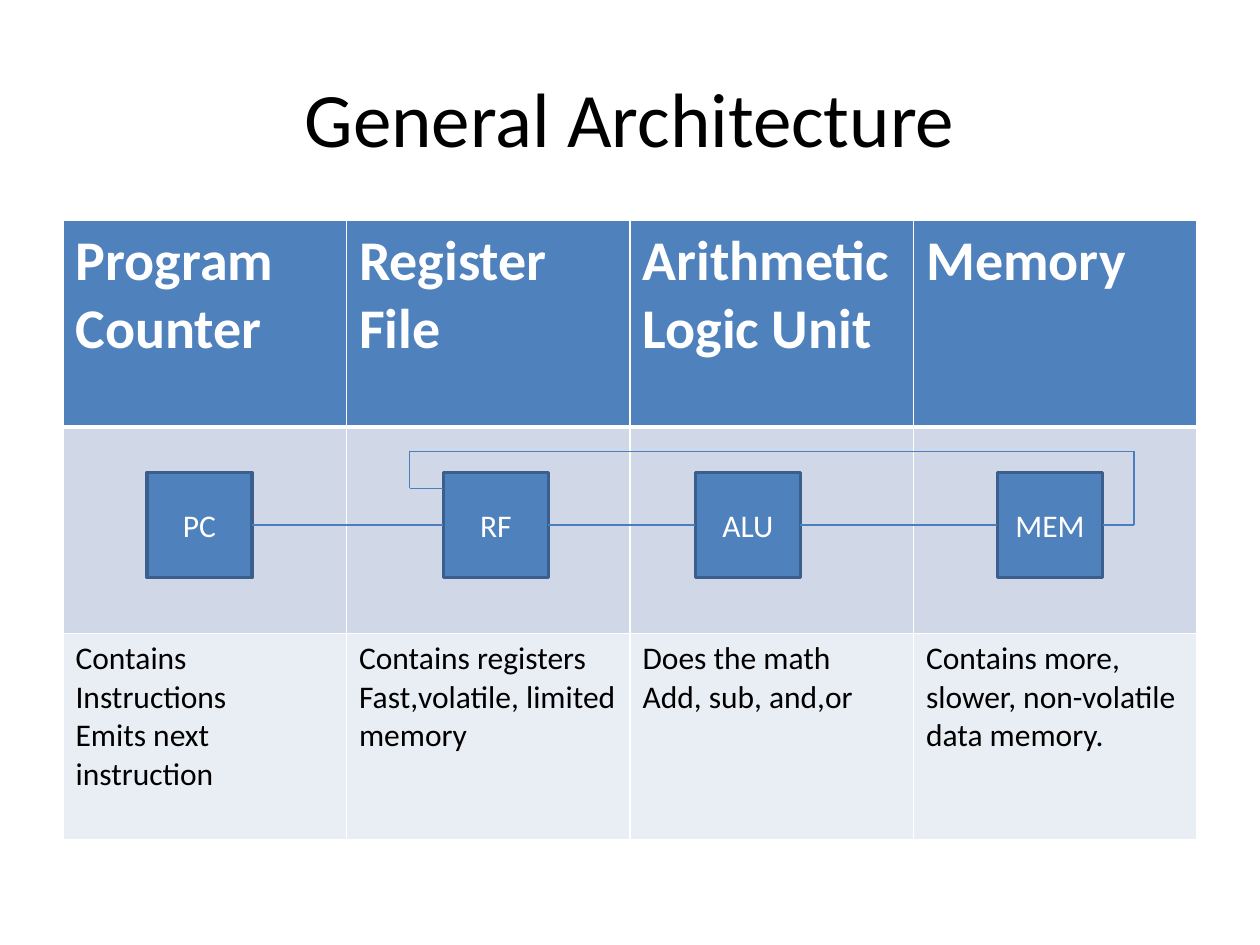
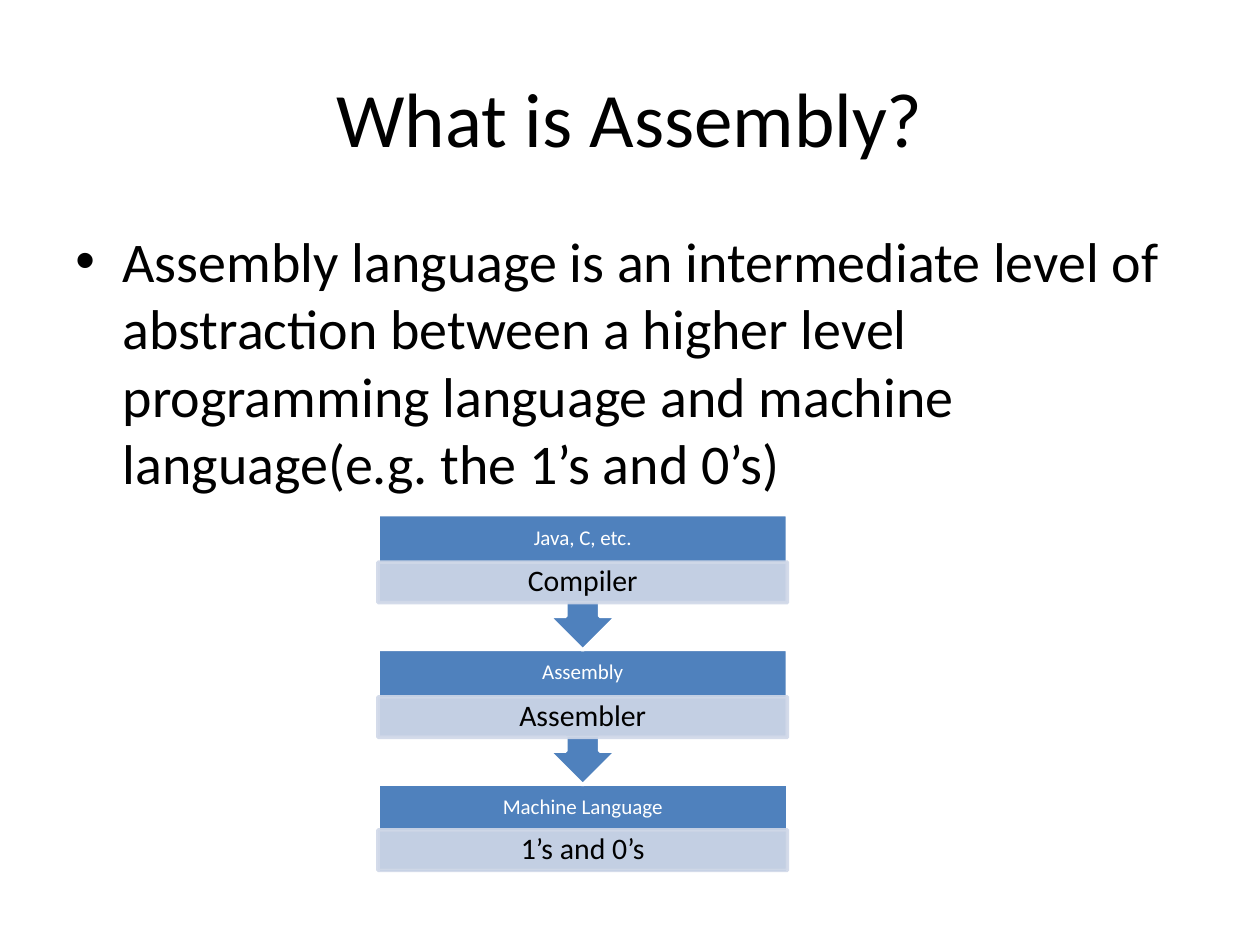
from dataclasses import dataclass
from itertools import pairwise

from lxml.etree import SubElement
from pptx import Presentation
from pptx.dml.color import RGBColor
from pptx.enum.shapes import MSO_CONNECTOR as Connector, MSO_SHAPE as Preset
from pptx.enum.text import MSO_ANCHOR as Anchor, PP_ALIGN as Align
from pptx.oxml.ns import qn
from pptx.util import Pt

TITLE_ONLY = 5


@dataclass(frozen=True)
class Theme:
    """Colours, font and type sizes shared by all slides."""
    font: str = "Calibri"
    text: str = "000000"
    light: str = "FFFFFF"
    accent: str = "4F81BD"
    accent_edge: str = "3A5F8C"
    wire: str = "4B7EBC"
    band: str = "D0D8E8"
    pale_band: str = "E9EDF4"
    title_size: float = 44
    large_size: float = 32
    body_size: float = 18
    detail_size: float = 17
    label_size: float = 12


def write(frame, text, *, size, color, bold=False, align=Align.LEFT,
          anchor=Anchor.TOP, insets=(7.2, 3.6), line_spacing=None,
          space_before=0, bullet_indent=0):
    """Write text, one paragraph a line, with the given format."""
    frame.word_wrap = True
    frame.vertical_anchor = anchor
    frame.margin_left = frame.margin_right = Pt(insets[0])
    frame.margin_top = frame.margin_bottom = Pt(insets[1])
    for index, line in enumerate(text.split("\n")):
        paragraph = frame.add_paragraph() if index else frame.paragraphs[0]
        paragraph.alignment = align
        paragraph.line_spacing = line_spacing
        paragraph.space_before = Pt(space_before)
        if bullet_indent:
            add_bullet(paragraph, bullet_indent)
        run = paragraph.add_run()
        run.text = line
        run.font.name = Theme.font
        run.font.size = Pt(size)
        run.font.bold = bold
        run.font.color.rgb = RGBColor.from_string(color)


def add_bullet(paragraph, indent):
    """Give a paragraph a round bullet and a hanging indent."""
    properties = paragraph._p.get_or_add_pPr()
    properties.set("marL", str(Pt(indent)))
    properties.set("indent", str(-Pt(indent)))
    SubElement(properties, qn("a:buFont"), typeface="Arial")
    SubElement(properties, qn("a:buChar"), char="\u2022")


def add_border(cell, side, color, width):
    """Draw one side (L, R, T or B) of a cell's border."""
    properties = cell._tc.get_or_add_tcPr()
    line = SubElement(properties, qn(f"a:ln{side}"), w=str(Pt(width)))
    fill = SubElement(line, qn("a:solidFill"))
    SubElement(fill, qn("a:srgbClr"), val=color)


class Deck:
    """Holds the theme, the presentation and the current slide."""

    def __init__(self, theme):
        """Start an empty 10 by 7.5 inch presentation."""
        self.theme = theme
        self.presentation = Presentation()
        self.presentation.slide_width = Pt(720)
        self.presentation.slide_height = Pt(540)
        self.slide = None

    def new_slide(self, title):
        """Add a slide with a centred title."""
        layout = self.presentation.slide_layouts[TITLE_ONLY]
        self.slide = self.presentation.slides.add_slide(layout)
        shape = self.slide.shapes.title
        shape.left, shape.top, shape.width, shape.height = map(Pt, (36, 21.6, 648, 90))
        write(shape.text_frame, title, size=self.theme.title_size,
              color=self.theme.text, align=Align.CENTER, anchor=Anchor.MIDDLE)

    def text(self, box, text, **style):
        """Add a text box."""
        shape = self.slide.shapes.add_textbox(*map(Pt, box))
        write(shape.text_frame, text, **style)

    def shape(self, preset, box, fill, line, opacity=100, rotation=0):
        """Add a filled and outlined preset shape."""
        shape = self.slide.shapes.add_shape(preset, *map(Pt, box))
        shape.shadow.inherit = False
        shape.rotation = rotation
        shape.fill.solid()
        shape.fill.fore_color.rgb = RGBColor.from_string(fill)
        shape.line.color.rgb = RGBColor.from_string(line)
        shape.line.width = Pt(2)
        if opacity < 100:
            for color in shape._element.spPr.iter(qn("a:srgbClr")):
                SubElement(color, qn("a:alpha"), val=str(opacity * 1000))
        return shape

    def wire(self, points):
        """Join successive points with straight connectors."""
        for start, end in pairwise(points):
            connector = self.slide.shapes.add_connector(
                Connector.STRAIGHT, *map(Pt, start + end))
            connector.line.color.rgb = RGBColor.from_string(self.theme.wire)
            connector.line.width = Pt(0.75)
            SubElement(connector._element.spPr, qn("a:effectLst"))

    def table(self, box, rows, fills, styles):
        """Add a table with equal cells, and a fill and text style per row."""
        frame = self.slide.shapes.add_table(len(rows), len(rows[0]), *map(Pt, box))
        table = frame.table
        table.horz_banding = False
        for row, texts in enumerate(rows):
            for column, text in enumerate(texts):
                cell = table.cell(row, column)
                for side in "LRTB":
                    heavy = (row, side) in ((0, "B"), (1, "T"))
                    add_border(cell, side, self.theme.light, 3 if heavy else 1)
                cell.fill.solid()
                cell.fill.fore_color.rgb = RGBColor.from_string(fills[row])
                if text:
                    write(cell.text_frame, text, **styles[row])

    def stage(self, top, label, detail, detail_offset, is_last):
        """Add a labelled block with a detail strip and, unless last, an arrow."""
        theme, left, width = self.theme, 216, 234
        if is_last:
            self.shape(Preset.RECTANGLE, (left, top, width, 50.5),
                       theme.accent, theme.light)
        else:
            self.shape(Preset.UP_ARROW_CALLOUT, (left, top, width, 77.5),
                       theme.accent, theme.light, rotation=180)
        centred = dict(align=Align.CENTER, anchor=Anchor.MIDDLE, line_spacing=0.9)
        self.text((left, top, width, 27.2), label, size=theme.label_size,
                  color=theme.light, insets=(6.7, 6.7), **centred)
        strip = self.shape(Preset.RECTANGLE,
                           (left, top + detail_offset, width, 23.2),
                           theme.band, theme.band, opacity=90)
        write(strip.text_frame, detail, size=theme.detail_size,
              color=theme.text, insets=(9.5, 1.7), **centred)


def build_architecture(deck):
    """Table of processor parts with the data path drawn over it."""
    theme = deck.theme
    deck.new_slide("General Architecture")
    deck.table(
        (36, 126, 648, 354),
        [("Program Counter", "Register File", "Arithmetic Logic Unit", "Memory"),
         ("",) * 4,
         ("Contains Instructions\nEmits next instruction",
          "Contains registers\nFast,volatile, limited memory",
          "Does the math\nAdd, sub, and,or",
          "Contains more, slower, non-volatile data memory.")],
        (theme.accent, theme.band, theme.pale_band),
        (dict(size=theme.large_size, color=theme.light, bold=True), {},
         dict(size=theme.body_size, color=theme.text)))

    units = {"PC": 84, "RF": 253.4, "ALU": 397.4, "MEM": 570}
    top, side = 270, 60
    middle = top + side / 2
    for name, left in units.items():
        shape = deck.shape(Preset.RECTANGLE, (left, top, side, side),
                           theme.accent, theme.accent_edge)
        write(shape.text_frame, name, size=theme.body_size, color=theme.light,
              align=Align.CENTER, anchor=Anchor.MIDDLE)
    for left, next_left in pairwise(units.values()):
        deck.wire([(left + side, middle), (next_left, middle)])

    right, loop_left, loop_top, entry = 648, 234, 258, 279
    deck.wire([(units["MEM"] + side, middle), (right, middle), (right, loop_top),
               (loop_left, loop_top), (loop_left, entry), (units["RF"], entry)])


def build_assembly(deck):
    """Definition of assembly above the translation stages."""
    deck.new_slide("What is Assembly?")
    deck.text(
        (36, 126, 648, 356.4),
        "Assembly language is an intermediate level of abstraction between a "
        "higher level programming language and machine language"
        "(e.g. the 1\u2019s and 0\u2019s)",
        size=deck.theme.large_size, color=deck.theme.text,
        space_before=6.4, bullet_indent=27)

    stages = [("Java, C, etc.", "Compiler", 27.2),
              ("Assembly", "Assembler", 27.2),
              ("Machine Language", "1\u2019s and 0\u2019s", 26.2)]
    # From the bottom up, so that each arrow lies over the block below it.
    for index in reversed(range(len(stages))):
        deck.stage(294 + 77 * index, *stages[index],
                   is_last=index == len(stages) - 1)


def main():
    """Build and save the presentation."""
    deck = Deck(Theme())
    build_architecture(deck)
    build_assembly(deck)
    deck.presentation.save("out.pptx")


main()
